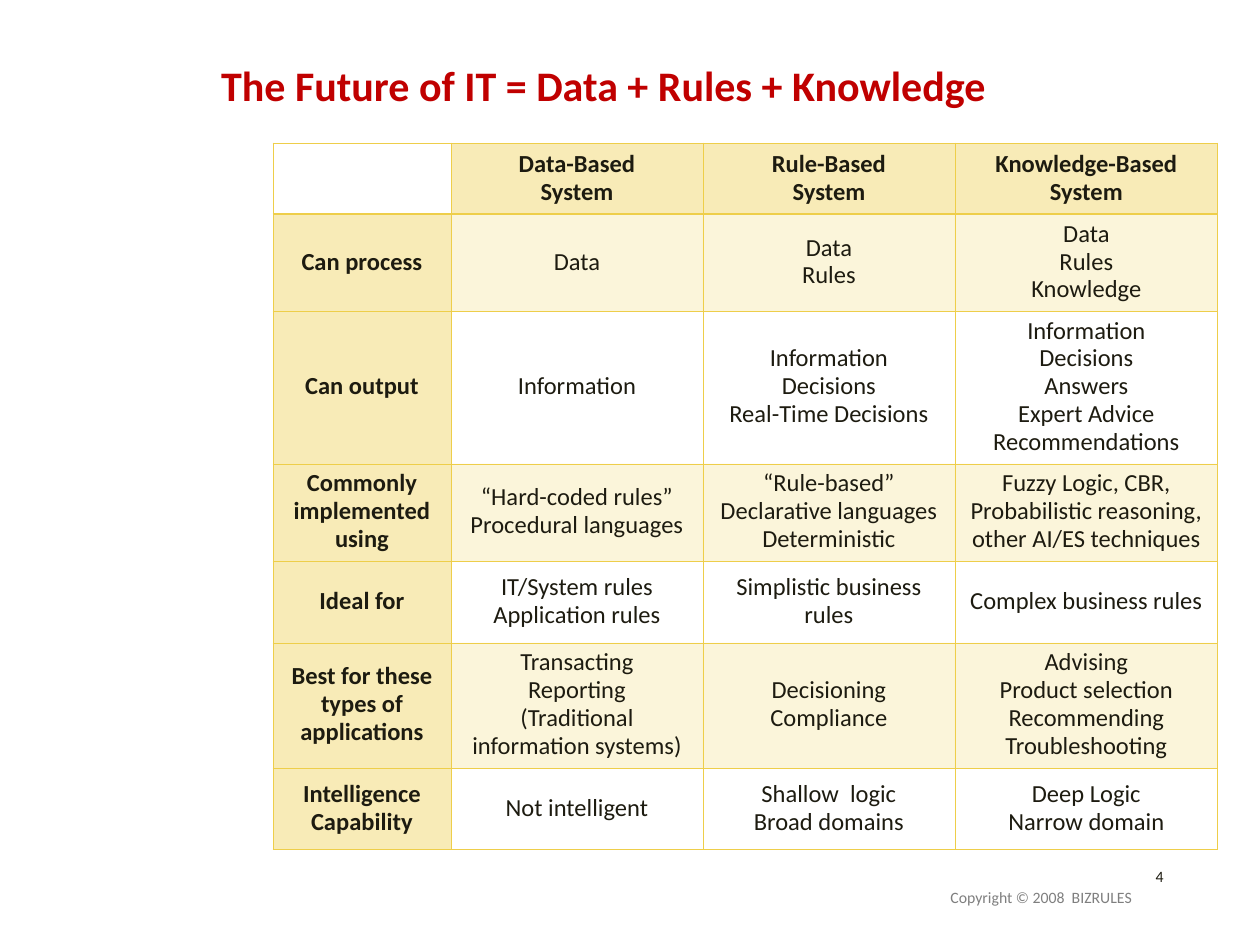
from dataclasses import dataclass

from lxml.etree import SubElement
from pptx import Presentation
from pptx.dml.color import RGBColor as RGB
from pptx.enum.text import MSO_ANCHOR as ANCHOR, PP_ALIGN as ALIGN
from pptx.oxml.ns import qn
from pptx.util import Emu, Pt

PX = 914400 // 126


@dataclass(frozen=True)
class Theme:
    font: str = "Calibri"
    title: str = "C00000"
    text: str = "1D1B10"
    muted: str = "7F7F7F"
    header: str = "F8EBB7"
    gold: str = "EECE4A"
    band_opacity: int = 20
    title_size: int = 24
    cell_size: int = 14
    footer_size: int = 9
    title_spacing: int = 22
    cell_spacing: int = 16
    thin: float = 0.45
    thick: float = 0.96


THEME = Theme()

TITLE = "The Future of IT = Data + Rules + Knowledge"
COL_WIDTHS = [178, 252, 252, 263]
ROW_HEIGHTS = [71, 97, 153, 97, 82, 125, 82]
# Each list inside a row is one cell; each string is one paragraph.
ROWS = [
    [[], ["Data-Based\vSystem"], ["Rule-Based", "System"],
     ["Knowledge-Based System"]],
    [["Can process"], ["Data"], ["Data", "Rules"],
     ["Data", "Rules", "Knowledge"]],
    [["Can output"], ["Information"],
     ["Information", "Decisions", "Real-Time Decisions"],
     ["Information", "Decisions", "Answers", "Expert Advice",
      "Recommendations"]],
    [["Commonly implemented using"],
     ["“Hard-coded rules”", "Procedural languages"],
     ["“Rule-based” Declarative languages", "Deterministic"],
     ["Fuzzy Logic, CBR,", "Probabilistic reasoning,",
      "other AI/ES techniques"]],
    [["Ideal for"], ["IT/System rules", "Application rules"],
     ["Simplistic business rules"], ["Complex business rules"]],
    [["Best for these types of applications"],
     ["Transacting", "Reporting", "(Traditional information systems)"],
     ["Decisioning Compliance"],
     ["Advising", "Product selection", "Recommending", "Troubleshooting"]],
    [["Intelligence Capability"], ["Not intelligent"],
     ["Shallow  logic", "Broad domains"], ["Deep Logic", "Narrow domain"]],
]


def px(*lengths):
    return [Emu(n * PX) for n in lengths]


def write(tf, paragraphs, size, color, bold=False, align=ALIGN.CENTER,
          spacing=None):
    """Fill a text frame; a vertical tab in a paragraph is a line break."""
    for i, text in enumerate(paragraphs):
        p = tf.paragraphs[0] if i == 0 else tf.add_paragraph()
        p.alignment = align
        p.space_before = Pt(0)
        if spacing:
            p.line_spacing = Pt(spacing)
        for j, line in enumerate(text.split("\v")):
            if j:
                p.add_line_break()
            r = p.add_run()
            r.text = line
            r.font.name = THEME.font
            r.font.size = Pt(size)
            r.font.bold = bold
            r.font.color.rgb = RGB.from_string(color)


def add_title(s, box):
    sp = s.shapes.title
    sp.left, sp.top, sp.width, sp.height = px(*box)
    tf = sp.text_frame
    tf.vertical_anchor = ANCHOR.MIDDLE
    write(tf, [TITLE], THEME.title_size, THEME.title, bold=True,
          spacing=THEME.title_spacing)


def set_borders(cell, top, bottom):
    """Outline a cell; must run before its fill is set."""
    tc_pr = cell._tc.get_or_add_tcPr()
    sides = {"L": THEME.thin, "R": THEME.thin, "T": top, "B": bottom}
    for side, width in sides.items():
        ln = SubElement(tc_pr, qn(f"a:ln{side}"), w=str(Pt(width)))
        fill = SubElement(ln, qn("a:solidFill"))
        SubElement(fill, qn("a:srgbClr"), val=THEME.gold)


def fill_cell(cell, row, col):
    is_corner = row == col == 0
    is_header = row == 0 or col == 0
    is_band = row % 2 == 1
    if is_corner or not (is_header or is_band):
        cell.fill.background()
        return
    cell.fill.solid()
    color = THEME.header if is_header else THEME.gold
    cell.fill.fore_color.rgb = RGB.from_string(color)
    if not is_header:
        clr = cell._tc.tcPr.find(f"{qn('a:solidFill')}/{qn('a:srgbClr')}")
        SubElement(clr, qn("a:alpha"), val=str(THEME.band_opacity * 1000))


def add_comparison(s, left, top):
    frame = s.shapes.add_table(
        len(ROWS), len(COL_WIDTHS),
        *px(left, top, sum(COL_WIDTHS), sum(ROW_HEIGHTS)))
    table = frame.table
    table.first_row = table.horz_banding = False
    for column, width in zip(table.columns, px(*COL_WIDTHS)):
        column.width = width
    for row, height in zip(table.rows, px(*ROW_HEIGHTS)):
        row.height = height
    for r, cells in enumerate(ROWS):
        for c, paragraphs in enumerate(cells):
            cell = table.cell(r, c)
            cell.vertical_anchor = ANCHOR.MIDDLE
            set_borders(cell, THEME.thick if r == 1 else THEME.thin,
                        THEME.thick if r == 0 else THEME.thin)
            fill_cell(cell, r, c)
            write(cell.text_frame, paragraphs, THEME.cell_size, THEME.text,
                  bold=r == 0 or c == 0, spacing=THEME.cell_spacing)


def add_footer(s, box, text, color):
    tf = s.shapes.add_textbox(*px(*box)).text_frame
    tf.word_wrap = True
    write(tf, [text], THEME.footer_size, color, align=ALIGN.RIGHT)


def main():
    prs = Presentation()
    prs.slide_width, prs.slide_height = px(1260, 945)
    s = prs.slides.add_slide(prs.slide_layouts[5])
    add_footer(s, (1029, 861, 147, 32), "4", THEME.text)
    add_footer(s, (294, 882, 850, 32), "Copyright © 2008  BIZRULES",
               THEME.muted)
    add_title(s, (126, 49, 955, 84))
    add_comparison(s, 273, 143)
    prs.save("out.pptx")


if __name__ == "__main__":
    main()
